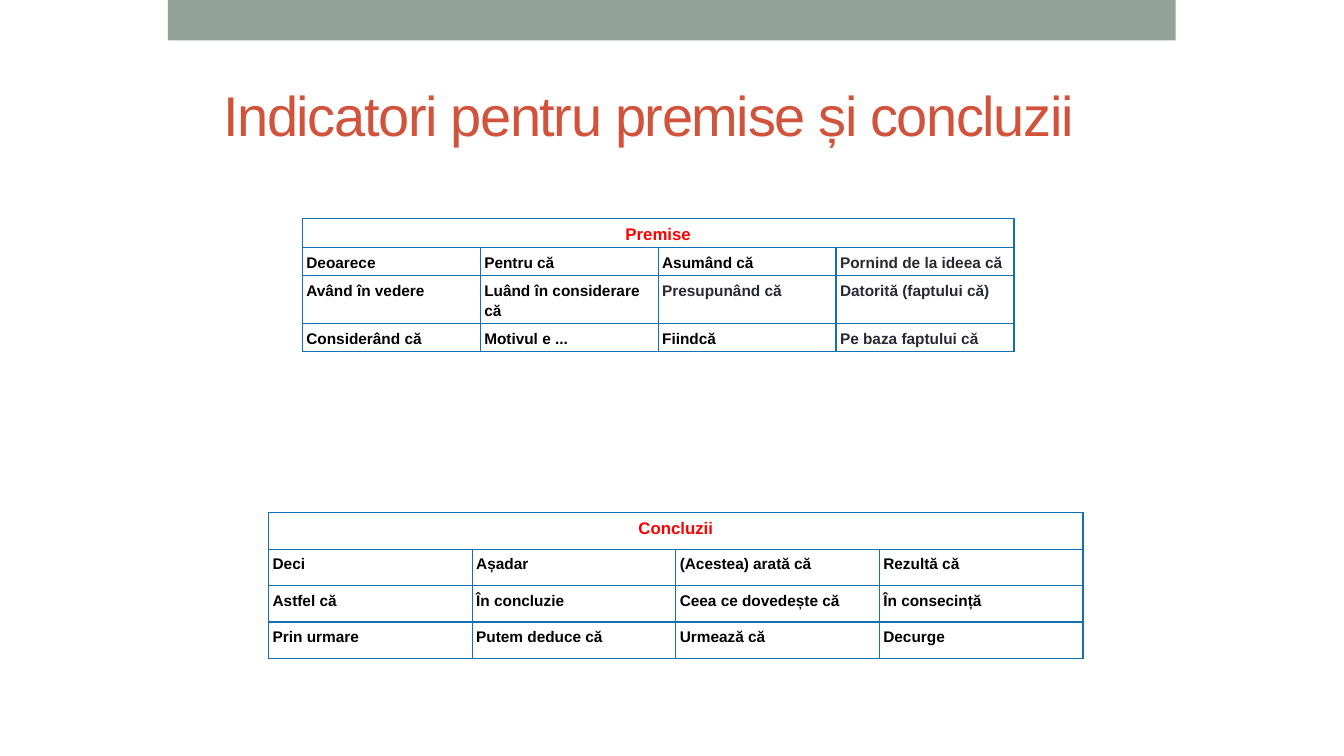
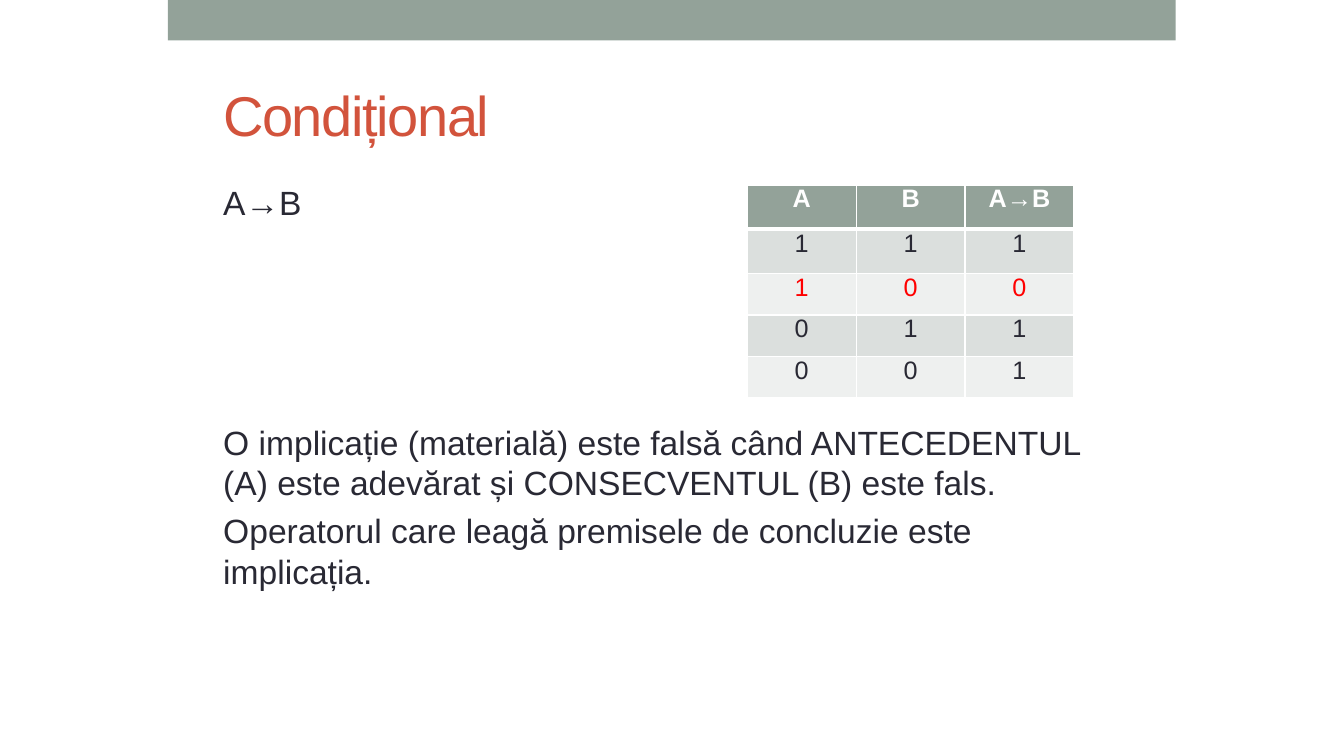
"""Build two logic-course slides: premise and conclusion indicators, and the conditional."""
from dataclasses import dataclass

from lxml import etree
from pptx import Presentation
from pptx.dml.color import RGBColor
from pptx.enum.shapes import MSO_SHAPE
from pptx.enum.text import MSO_ANCHOR, MSO_AUTO_SIZE, PP_ALIGN
from pptx.oxml.ns import qn
from pptx.util import Inches, Pt

RECTANGLE = MSO_SHAPE.RECTANGLE
MIDDLE, TOP = MSO_ANCHOR.MIDDLE, MSO_ANCHOR.TOP
NO_FIT = MSO_AUTO_SIZE.NONE
LEFT, CENTER = PP_ALIGN.LEFT, PP_ALIGN.CENTER


@dataclass(frozen=True)
class Theme:
    font: str = "Arial"
    sage: str = "93A299"
    brick: str = "D2533C"
    ink: str = "292934"
    black: str = "000000"
    white: str = "FFFFFF"
    red: str = "FF0000"
    blue: str = "1371B2"
    odd_row: str = "DBDFDD"
    even_row: str = "EEF0EF"
    title: int = 80
    body: int = 48
    truth: int = 36
    heading: int = 24
    indicator: int = 22
    thin: int = 2
    thick: int = 6


THEME = Theme()


def write(paragraph, text, size, color, bold=False, align=LEFT, line_spacing=1.0):
    paragraph.alignment = align
    paragraph.line_spacing = line_spacing
    run = paragraph.add_run()
    run.text = text
    run.font.name = THEME.font
    run.font.size = Pt(size)
    run.font.bold = bold
    run.font.color.rgb = RGBColor.from_string(color)
    return run


def add_grid(slide, left, top, column_width, row_heights, columns, inset, line, header_rule):
    frame = slide.shapes.add_table(
        len(row_heights), columns, Inches(left), Inches(top),
        Inches(column_width * columns), Inches(sum(row_heights)))
    grid = frame.table
    grid.first_row = grid.horz_banding = False
    for column in grid.columns:
        column.width = Inches(column_width)
    for r, height in enumerate(row_heights):
        grid.rows[r].height = Inches(height)
        for c in range(columns):
            cell = grid.cell(r, c)
            cell.margin_left = cell.margin_right = Inches(inset)
            cell.margin_top = cell.margin_bottom = Inches(inset)
            properties = cell._tc.get_or_add_tcPr()
            for side in ("lnL", "lnR", "lnT", "lnB"):
                under_header = (r, side) in ((0, "lnB"), (1, "lnT"))
                width = header_rule if under_header else THEME.thin
                border = etree.SubElement(properties, qn(f"a:{side}"), w=str(Pt(width)))
                solid = etree.SubElement(border, qn("a:solidFill"))
                etree.SubElement(solid, qn("a:srgbClr"), val=line)
            cell.fill.background()
    return grid


prs = Presentation()
prs.slide_width, prs.slide_height = Inches(26.67), Inches(15)
title_only, title_and_content = prs.slide_layouts[5], prs.slide_layouts[1]
indicators = prs.slides.add_slide(title_only)
conditional = prs.slides.add_slide(title_and_content)

band = indicators.shapes.add_shape(RECTANGLE, Inches(3.33), 0, Inches(20), Inches(0.8))
band.shadow.inherit = False
band.fill.solid()
band.fill.fore_color.rgb = RGBColor.from_string(THEME.sage)
band.line.fill.background()
band.element.nvSpPr.cNvPr.set("id", "20")
prs.slide_master.shapes.element.insert(2, band.element)

for slide, heading in (
    (indicators, "Indicatori pentru premise și concluzii"),
    (conditional, "Condițional"),
):
    title = slide.shapes.title
    title.left, title.top = Inches(4.33), Inches(1.17)
    title.width, title.height = Inches(18), Inches(2.17)
    frame = title.text_frame
    frame.auto_size, frame.vertical_anchor = NO_FIT, MIDDLE
    frame.margin_left = frame.margin_right = Inches(0.1)
    frame.margin_top = frame.margin_bottom = Inches(0.1)
    run = write(frame.paragraphs[0], heading, THEME.title, THEME.brick)
    run.font._element.set("spc", "-200")

premises = [
    ["Deoarece", "Pentru că", "Asumând că", "Pornind de la ideea că"],
    ["Având în vedere", "Luând în considerare că", "Presupunând că", "Datorită (faptului că)"],
    ["Considerând că", "Motivul e ...", "Fiindcă", "Pe baza faptului că"],
]
conclusions = [
    ["Deci", "Așadar", "(Acestea) arată că", "Rezultă că"],
    ["Astfel că", "În concluzie", "Ceea ce dovedește că", "În consecință"],
    ["Prin urmare", "Putem deduce că", "Urmează că", "Decurge"],
]
ink_phrases = {"Presupunând că"} | {row[-1] for row in premises}

for heading, phrases, left, top, column_width, row_heights in (
    ("Premise", premises, 6, 4.33, 3.53, [0.56, 0.53, 0.95, 0.53]),
    ("Concluzii", conclusions, 5.33, 10.17, 4.04, [0.73, 0.72, 0.72, 0.72]),
):
    grid = add_grid(indicators, left, top, column_width, row_heights, 4,
                    0.08, THEME.blue, THEME.thin)
    grid.cell(0, 0).merge(grid.cell(0, 3))
    write(grid.cell(0, 0).text_frame.paragraphs[0], heading, THEME.heading, THEME.red,
          True, CENTER, 1.15)
    for r, row in enumerate(phrases, 1):
        for c, phrase in enumerate(row):
            color = THEME.ink if phrase in ink_phrases else THEME.black
            write(grid.cell(r, c).text_frame.paragraphs[0], phrase, THEME.indicator, color,
                  True, LEFT, 1.15)

explanation = conditional.placeholders[1]
explanation.left, explanation.top = Inches(4.33), Inches(3.5)
explanation.width, explanation.height = Inches(18), Inches(10.67)
frame = explanation.text_frame
frame.auto_size, frame.vertical_anchor = NO_FIT, TOP
frame.margin_left = frame.margin_right = Inches(0.1)
frame.margin_top = frame.margin_bottom = Inches(0.1)
for i, (text, space_before) in enumerate((
    ("A→B", 11),
    ("O implicație (materială) este falsă când ANTECEDENTUL (A) este adevărat "
     "și CONSECVENTUL (B) este fals.", 286),
    ("Operatorul care leagă premisele de concluzie este implicația.", 11),
)):
    paragraph = frame.add_paragraph() if i else frame.paragraphs[0]
    write(paragraph, text, THEME.body, THEME.ink)
    paragraph.space_before = Pt(space_before)
    properties = paragraph._p.get_or_add_pPr()
    properties.set("marL", "0")
    properties.set("indent", "0")
    etree.SubElement(properties, qn("a:buNone"))

truth_rows = [("A", "B", "A→B"), "111", "100", "011", "001"]
truth_table = add_grid(conditional, 14.83, 3.67, 2.16, [0.88, 0.88, 0.82, 0.82, 0.82], 3,
                       0.05, THEME.white, THEME.thick)
for r, row in enumerate(truth_rows):
    is_header = r == 0
    is_false_case = r == 2
    fill = THEME.sage if is_header else THEME.odd_row if r % 2 else THEME.even_row
    color = THEME.white if is_header else THEME.red if is_false_case else THEME.ink
    for c, value in enumerate(row):
        cell = truth_table.cell(r, c)
        cell.fill.solid()
        cell.fill.fore_color.rgb = RGBColor.from_string(fill)
        write(cell.text_frame.paragraphs[0], value, THEME.truth, color,
              is_header, CENTER, 0.9)

prs.save("out.pptx")
